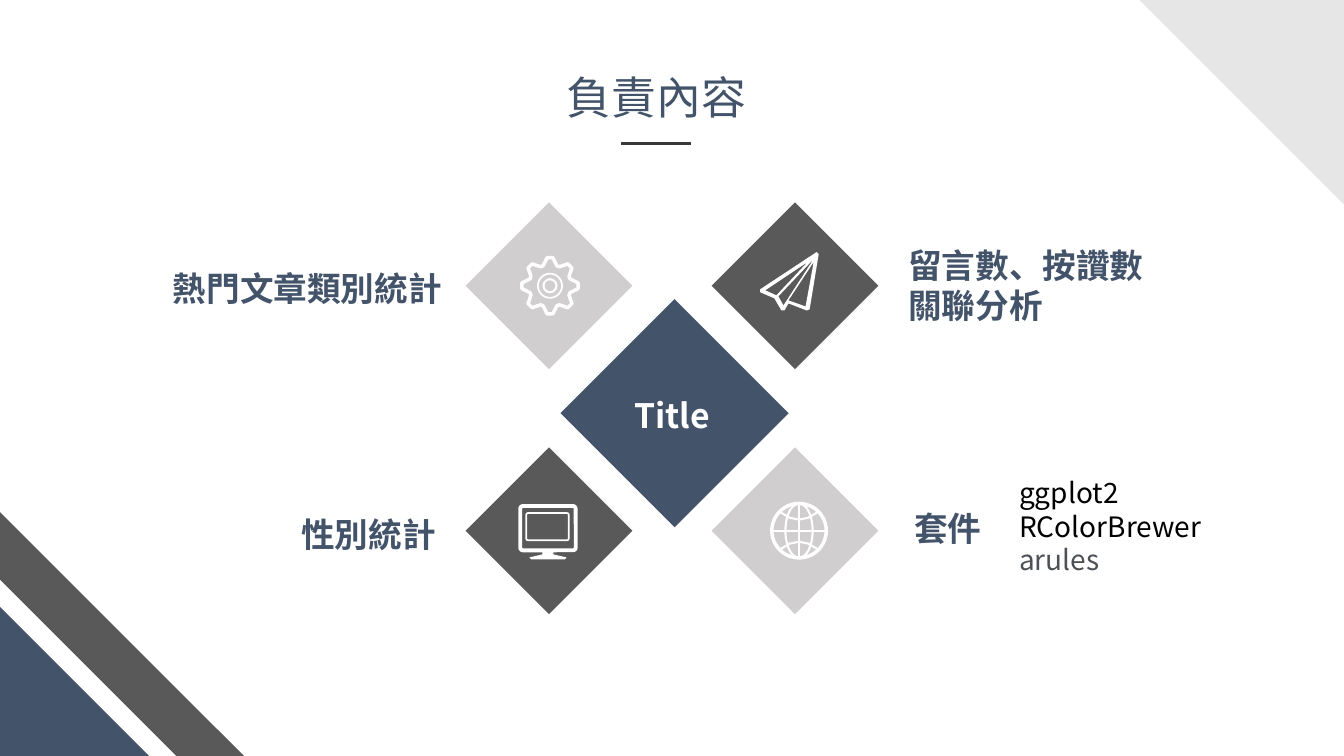
from math import cos, radians, sin

from lxml import etree
from pptx import Presentation
from pptx.dml.color import RGBColor
from pptx.enum.shapes import MSO_CONNECTOR, MSO_SHAPE
from pptx.enum.text import MSO_AUTO_SIZE, PP_ALIGN
from pptx.oxml.ns import qn
from pptx.util import Inches, Pt

RECTANGLE, TRIANGLE = MSO_SHAPE.RECTANGLE, MSO_SHAPE.RIGHT_TRIANGLE
OVAL, ROUNDED = MSO_SHAPE.OVAL, MSO_SHAPE.ROUNDED_RECTANGLE
LEFT, CENTER, RIGHT = PP_ALIGN.LEFT, PP_ALIGN.CENTER, PP_ALIGN.RIGHT
FONT = "Noto Sans CJK SC"
NAVY, DARK, SILVER, PALE = "43536A", "595959", "D0CECE", "E7E6E6"
WHITE, BLACK, RULE, SLATE = "FFFFFF", "000000", "3B3838", "4D5156"

# Content: lines, box (left, top, width, height), size, colours, bold, alignment
LABELS = [
    (["留言數、按讚數", "關聯分析"], (8.91, 2.38, 3.54, 0.91), 24, [NAVY] * 2, True, LEFT),
    (["套件"], (8.97, 4.99, 2.5, 0.5), 24, [NAVY], True, LEFT),
    (["熱門文章類別統計"], (1.23, 2.61, 3.25, 0.5), 24, [NAVY], True, RIGHT),
    (["性別統計"], (1.92, 5.05, 2.5, 0.5), 24, [NAVY], True, RIGHT),
    (["Title"], (6.19, 3.87, 0.95, 0.5), 24, [WHITE], True, CENTER),
    (["ggplot2", "RColorBrewer", "arules"], (10.01, 4.67, 2.14, 1.11), 20,
     [BLACK, BLACK, SLATE], False, LEFT),
    (["負責內容"], (3.85, 0.64, 5.32, 0.64), 32, [NAVY], False, CENTER),
]
# Preset blocks: kind, left, top, side, colour, turn
BLOCKS = [
    (RECTANGLE, 7.3, 2.25, 1.17, DARK, 45),
    (RECTANGLE, 7.3, 4.68, 1.17, SILVER, 45),
    (RECTANGLE, 4.86, 2.25, 1.17, SILVER, 45),
    (RECTANGLE, 4.86, 4.68, 1.17, DARK, 45),
    (RECTANGLE, 5.89, 3.3, 1.6, NAVY, 45),
    (TRIANGLE, 11.3, 0, 2.03, PALE, 180),
    (TRIANGLE, 0, 6.02, 1.48, NAVY, 0),
]
STRIPE = [(0, 5.08), (0, 5.75), (1.75, 7.5), (2.42, 7.5)]
PLANE = [
    [(8.1, 2.5), (7.54, 2.87), (7.54, 2.9), (7.68, 2.96), (7.75, 3.08), (7.78, 3.08),
     (7.82, 3.01), (8, 3.08), (8.03, 3.07), (8.12, 2.52)],
    [(7.99, 3.04), (7.82, 2.98), (8.07, 2.6)],
    [(7.72, 2.94), (8.07, 2.57), (7.77, 3.03)],
    [(7.59, 2.88), (8.01, 2.6), (7.7, 2.93)],
]
STAND = [(5.38, 5.47), (5.38, 5.5), (5.25, 5.53), (5.27, 5.55),
         (5.6, 5.55), (5.62, 5.53), (5.49, 5.5), (5.49, 5.47)]
GEAR_X, GEAR_Y = 5.455, 2.835
GLOBE_X, GLOBE_Y, GLOBE_RADIUS = 7.925, 5.265, 0.27
# One gear tooth: degrees from its middle, radius
TOOTH = [(-19, 0.21), (-12, 0.24), (-6, 0.28), (6, 0.28), (12, 0.24), (19, 0.21)]
# White icon rings: kind, centre x, centre y, width, height, line width
RINGS = [
    (OVAL, GEAR_X, GEAR_Y, 0.24, 0.24, 1.25),
    (OVAL, GEAR_X, GEAR_Y, 0.13, 0.13, 1.5),
    (OVAL, GLOBE_X, GLOBE_Y, 2 * GLOBE_RADIUS, 2 * GLOBE_RADIUS, 2.5),
    (OVAL, GLOBE_X, GLOBE_Y, GLOBE_RADIUS, 2 * GLOBE_RADIUS, 1.5),
    (ROUNDED, 5.435, 5.24, 0.55, 0.44, 2.75),
    (ROUNDED, 5.43, 5.225, 0.42, 0.27, 1.25),
]


def color(value):
    return RGBColor.from_string(value)


def paint(shape, fill=None, width=None):
    shape.shadow.inherit = False
    if fill:
        shape.fill.solid()
        shape.fill.fore_color.rgb = color(fill)
    else:
        shape.fill.background()
    if width:
        shape.line.color.rgb = color(WHITE)
        shape.line.width = Pt(width)
    else:
        shape.line.fill.background()


def add_preset(page, kind, left, top, width, height):
    return page.shapes.add_shape(kind, Inches(left), Inches(top),
                                 Inches(width), Inches(height))


def add_outline(page, contours, close=True):
    contours = [[(Inches(x), Inches(y)) for x, y in contour] for contour in contours]
    builder = page.shapes.build_freeform(*contours[0][0])
    for number, contour in enumerate(contours):
        if number:
            builder.move_to(*contour[0])
        builder.add_line_segments(contour[1:], close=close)
    return builder.convert_to_shape()


def add_line(page, start, end, shade, width):
    line = page.shapes.add_connector(MSO_CONNECTOR.STRAIGHT,
                                     *[Inches(length) for length in start + end])
    line.line.color.rgb = color(shade)
    line.line.width = Pt(width)
    etree.SubElement(line._element.spPr, qn("a:effectLst"))


def add_label(page, lines, place, size, colors, bold, align):
    box = page.shapes.add_textbox(*[Inches(length) for length in place])
    frame = box.text_frame
    frame.word_wrap = lines != ["Title"]
    frame.auto_size = MSO_AUTO_SIZE.SHAPE_TO_FIT_TEXT
    frame.text = "\n".join(lines)
    for para, shade in zip(frame.paragraphs, colors):
        para.alignment = align
        span = para.runs[0]
        span.font.size = Pt(size)
        span.font.bold = bold
        span.font.name = FONT
        span.font.color.rgb = color(shade)
        etree.SubElement(span.font._element, qn("a:ea"), typeface=FONT)


def main():
    deck = Presentation()
    deck.slide_width, deck.slide_height = Inches(13.33), Inches(7.5)
    page = deck.slides.add_slide(deck.slide_layouts[6])

    # Diamonds and corner decoration
    paint(add_outline(page, [STRIPE]), DARK)
    for kind, left, top, side, fill, turn in BLOCKS:
        block = add_preset(page, kind, left, top, side, side)
        block.rotation = turn
        paint(block, fill)

    # Icons
    for contours in ([*PLANE],), ([STAND],):
        paint(add_outline(page, *contours), WHITE)
    gear = []
    for start in range(0, 360, 45):
        for turn, radius in TOOTH:
            angle = radians(start + turn)
            gear.append((GEAR_X + radius * cos(angle), GEAR_Y + radius * sin(angle)))
    paint(add_outline(page, [gear]), width=2.5)
    for kind, x, y, width, height, weight in RINGS:
        ring = add_preset(page, kind, x - width / 2, y - height / 2, width, height)
        if kind == ROUNDED:
            ring.adjustments[0] = 0.06
        paint(ring, width=weight)

    # Globe lines
    add_line(page, (GLOBE_X - GLOBE_RADIUS, GLOBE_Y), (GLOBE_X + GLOBE_RADIUS, GLOBE_Y),
             WHITE, 1.5)
    add_line(page, (GLOBE_X, GLOBE_Y - GLOBE_RADIUS), (GLOBE_X, GLOBE_Y + GLOBE_RADIUS),
             WHITE, 1.5)
    for side in (-1, 1):
        parallel = [(GLOBE_X + 0.18 * part, GLOBE_Y + side * (0.11 + 0.07 * part ** 2))
                    for part in (-1, -0.5, 0, 0.5, 1)]
        paint(add_outline(page, [parallel], close=False), width=1.5)

    # Title rule and text
    add_line(page, (6.16, 1.42), (6.85, 1.42), RULE, 2.25)
    for label in LABELS:
        add_label(page, *label)

    deck.save("out.pptx")


if __name__ == "__main__":
    main()
